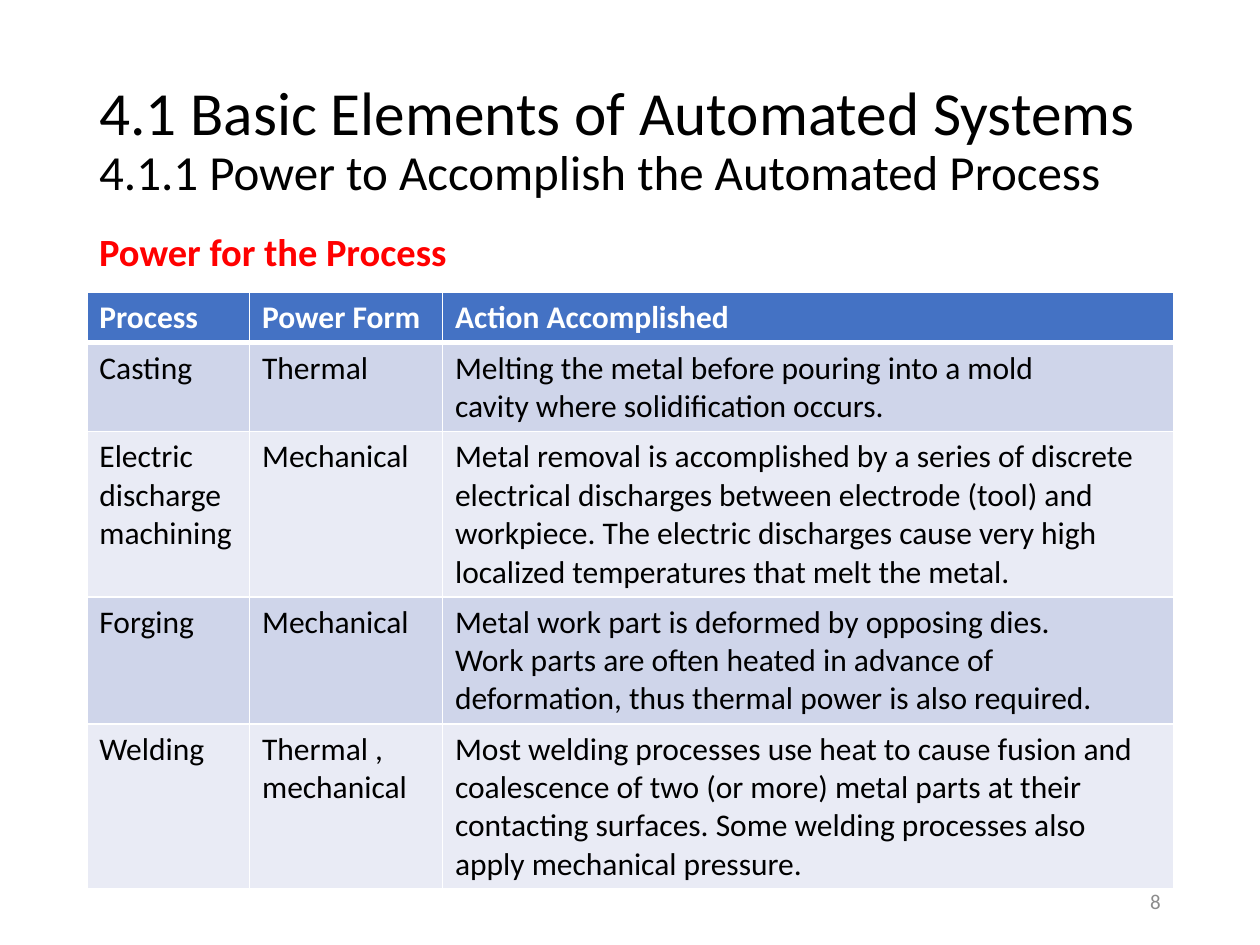
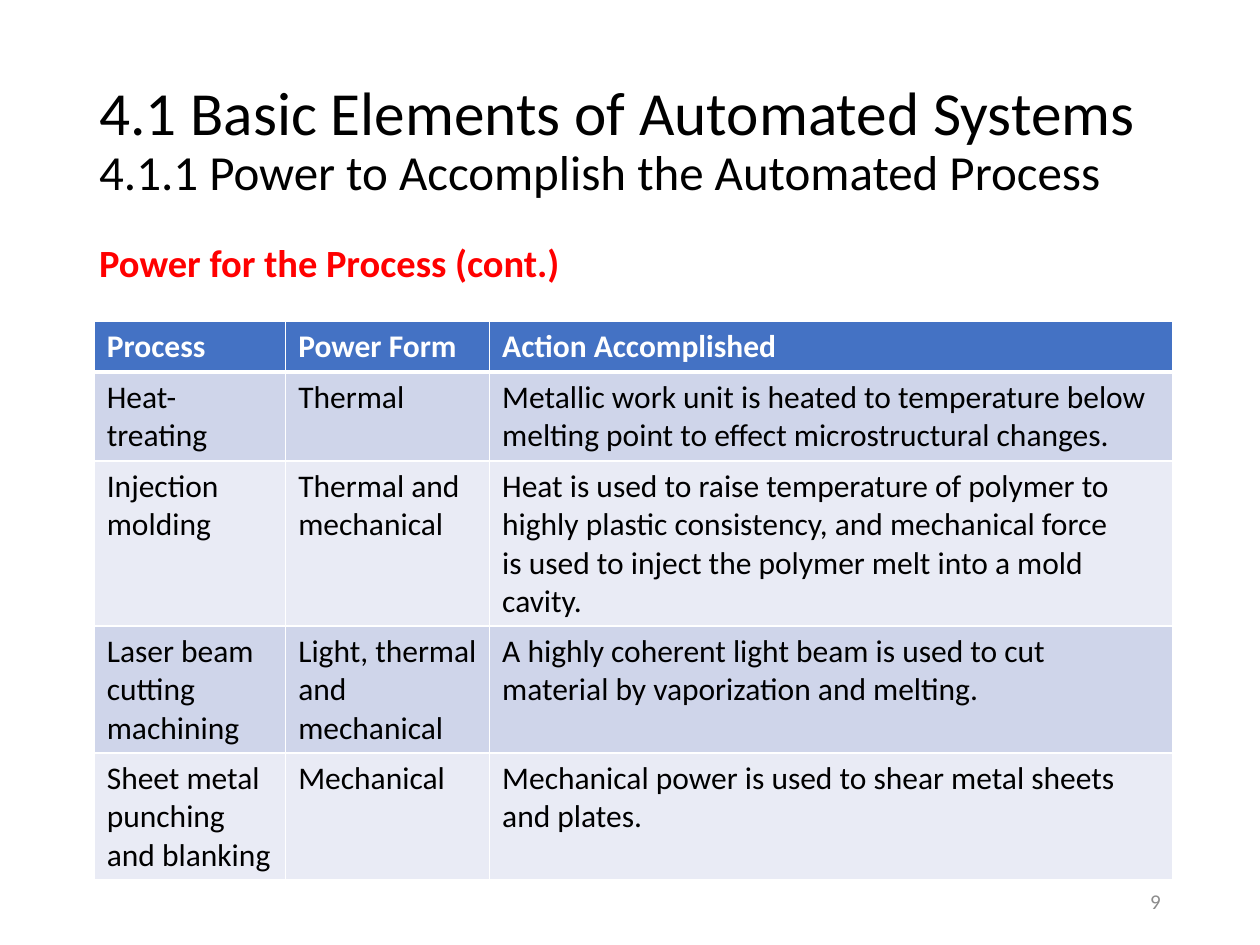
from dataclasses import dataclass
from typing import Any, NamedTuple

from lxml.etree import SubElement
from pptx import Presentation
from pptx.dml.color import RGBColor
from pptx.enum.text import MSO_ANCHOR, PP_ALIGN
from pptx.oxml.ns import qn
from pptx.slide import Slide
from pptx.util import Cm, Pt


class Style(NamedTuple):
    size: float
    color: str
    bold: bool = False


class Box(NamedTuple):
    left: float
    top: float
    width: float
    height: float


@dataclass(frozen=True)
class Theme:
    font: str = "Calibri"
    title: Style = Style(35, "000000")
    section: Style = Style(28, "000000")
    topic: Style = Style(22, "FF0000", True)
    number: Style = Style(12, "8C8C8C")
    head: Style = Style(18, "FFFFFF", True)
    body: Style = Style(18, "000000")
    head_fill: str = "4472C4"
    bands: tuple[str, str] = ("CFD5EA", "E9EBF5")
    border: str = "FFFFFF"
    thin: float = 1
    thick: float = 3


class Row(NamedTuple):
    process: str
    power: str
    action: str
    lines: int = 1


@dataclass(frozen=True)
class Page:
    number: int
    topic: str
    topic_top: float
    left: float
    top: float
    widths: tuple[float, ...]
    rows: tuple[Row, ...]


THEME = Theme()
TITLE = "4.1 Basic Elements of Automated Systems"
SECTION = "4.1.1 Power to Accomplish the Automated Process"
HEAD = Row("Process", "Power Form", "Action Accomplished")
EDGE = 1.75
LINE, PAD = 0.77, 0.25

PAGES = (
    Page(8, "Power for the Process", 4.47, EDGE, 5.89, (3.28, 3.89, 14.74), (
        Row("Casting", "Thermal",
            "Melting the metal before pouring into a mold\n"
            "cavity where solidification occurs.", 2),
        Row("Electric discharge machining", "Mechanical",
            "Metal removal is accomplished by a series of discrete electrical "
            "discharges between electrode (tool) and workpiece. The electric "
            "discharges cause very high localized temperatures that melt the metal.", 4),
        Row("Forging", "Mechanical",
            "Metal work part is deformed by opposing dies.\n"
            "Work parts are often heated in advance of deformation, "
            "thus thermal power is also required.", 3),
        Row("Welding", "Thermal , mechanical",
            "Most welding processes use heat to cause fusion and coalescence of "
            "two (or more) metal parts at their contacting surfaces. Some welding "
            "processes also apply mechanical pressure.", 4),
    )),
    Page(9, "Power for the Process (cont.)", 4.7, 1.9, 6.48, (3.86, 4.11, 13.77), (
        Row("Heat-treating", "Thermal",
            "Metallic work unit is heated to temperature below\n"
            "melting point to effect microstructural changes.", 2),
        Row("Injection molding", "Thermal and mechanical",
            "Heat is used to raise temperature of polymer to\n"
            "highly plastic consistency, and mechanical force\n"
            "is used to inject the polymer melt into a mold\ncavity.", 4),
        Row("Laser beam cutting machining", "Light, thermal and mechanical",
            "A highly coherent light beam is used to cut\n"
            "material by vaporization and melting.", 3),
        Row("Sheet metal punching and blanking", "Mechanical",
            "Mechanical power is used to shear metal sheets\nand plates.", 3),
    )),
)


def apply(target: Any, values: dict[str, Any]) -> None:
    for name, value in values.items():
        setattr(target, name, value)


def set_font(font: Any, style: Style) -> None:
    apply(font, {"name": THEME.font, "size": Pt(style.size), "bold": style.bold})
    font.color.rgb = RGBColor.from_string(style.color)


def add_text(slide: Slide, box: Box, parts: list[tuple[str, Style]],
             frame: dict[str, Any], para: dict[str, Any]) -> None:
    """Add one paragraph whose parts are parted by line breaks."""
    text = slide.shapes.add_textbox(*map(Cm, box)).text_frame
    apply(text, {"word_wrap": True, **frame})
    line = text.paragraphs[0]
    apply(line, para)
    for i, (words, style) in enumerate(parts):
        if i:
            line.add_line_break()
        run = line.add_run()
        run.text = words
        set_font(run.font, style)


def add_borders(cell: Any, bottom: float) -> None:
    props = cell._tc.get_or_add_tcPr()
    for side in "LRTB":
        width = bottom if side == "B" else THEME.thin
        line = SubElement(props, qn(f"a:ln{side}"), w=str(Pt(width)))
        fill = SubElement(line, qn("a:solidFill"))
        SubElement(fill, qn("a:srgbClr"), val=THEME.border)


def fill_cell(cell: Any, words: str, style: Style, fill: str, bottom: float) -> None:
    add_borders(cell, bottom)
    cell.fill.solid()
    cell.fill.fore_color.rgb = RGBColor.from_string(fill)
    cell.text_frame.text = words
    for line in cell.text_frame.paragraphs:
        for run in line.runs:
            set_font(run.font, style)


def add_grid(slide: Slide, page: Page) -> None:
    rows = (HEAD, *page.rows)
    highs = [PAD + LINE * row.lines for row in rows]
    box = Box(page.left, page.top, sum(page.widths), sum(highs))
    table = slide.shapes.add_table(len(rows), len(page.widths), *map(Cm, box)).table
    for column, width in zip(table.columns, page.widths):
        column.width = Cm(width)
    for i, (row, high) in enumerate(zip(rows, highs)):
        table.rows[i].height = Cm(high)
        if i == 0:
            look = (THEME.head, THEME.head_fill, THEME.thick)
        else:
            look = (THEME.body, THEME.bands[(i - 1) % 2], THEME.thin)
        for j, words in enumerate((row.process, row.power, row.action)):
            fill_cell(table.cell(i, j), words, *look)


def add_page(slide: Slide, page: Page) -> None:
    middle = {"vertical_anchor": MSO_ANCHOR.MIDDLE}
    add_text(slide, Box(EDGE, 1.02, 21.9, 3.68),
             [(TITLE, THEME.title), (SECTION, THEME.section)],
             middle, {"line_spacing": 0.9})
    add_text(slide, Box(17.93, 17.65, 5.72, 1.02),
             [(str(page.number), THEME.number)], middle, {"alignment": PP_ALIGN.RIGHT})
    add_text(slide, Box(EDGE, page.topic_top, 10.95, 1.19),
             [(page.topic, THEME.topic)], {}, {})
    add_grid(slide, page)


def main() -> None:
    deck = Presentation()
    apply(deck, {"slide_width": Cm(25.4), "slide_height": Cm(19.05)})
    for page in PAGES:
        add_page(deck.slides.add_slide(deck.slide_layouts[6]), page)
    deck.save("out.pptx")


if __name__ == "__main__":
    main()
